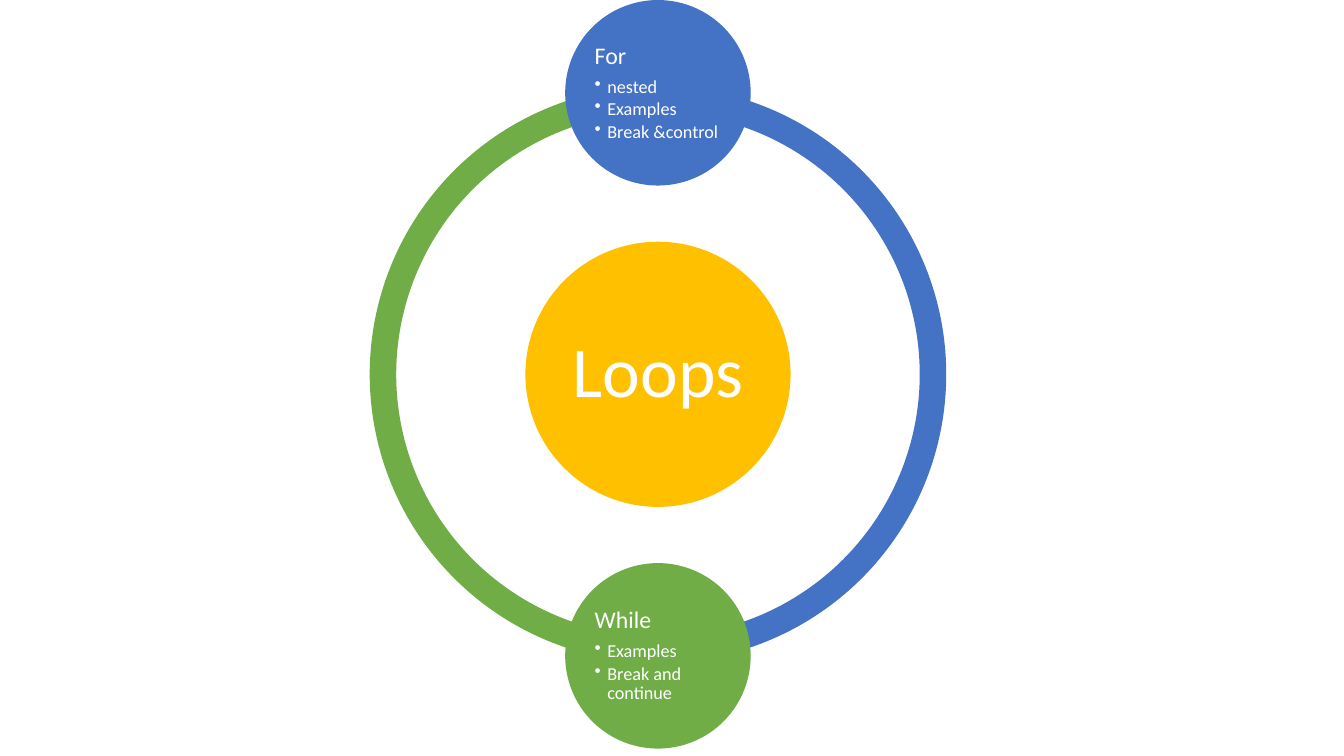
"""Build a slide of two linked loop kinds around a central title."""
import dataclasses
import typing

import lxml.etree
import pptx
import pptx.dml.color
import pptx.enum.shapes
import pptx.enum.text
import pptx.oxml.ns
import pptx.util

Pt = pptx.util.Pt
KINDS = pptx.enum.shapes.MSO_SHAPE
ALIGN = pptx.enum.text.PP_ALIGN
COLORS = {"blue": "4472C4", "green": "70AD47", "gold": "FFC000", "white": "FFFFFF"}
MID_X, MID_Y, REACH = 470, 267.4, 201.1
RING, CORE, NODE = 411.84, 189.4, 132.5
INDENT = 9

FORMATS = {
    "core": {"alignment": ALIGN.CENTER, "line_spacing": 0.9, "space_after": Pt(17.85)},
    "head": {"alignment": ALIGN.LEFT, "line_spacing": 0.9, "space_after": Pt(5.95)},
    "item": {"alignment": ALIGN.LEFT, "line_spacing": 0.9, "space_after": Pt(1.95), "level": 1},
}
FONTS = {
    "core": {"name": "Calibri", "size": Pt(51)},
    "head": {"name": "Calibri", "size": Pt(17)},
    "item": {"name": "Calibri", "size": Pt(13)},
}


@dataclasses.dataclass
class Arc:
    color: str
    start: float
    end: float


@dataclasses.dataclass
class Disc:
    color: str
    mid_y: float
    size: float
    inset: float
    role: str
    title: str
    items: tuple[str, ...] = ()


ARCS = [Arc("green", 54, 162), Arc("blue", 162, 54)]
DISCS = [
    Disc("gold", MID_Y, CORE, 5.1, "core", "Loops "),
    Disc("blue", MID_Y - REACH, NODE, 1.7, "head", "For",
         ("nested", "Examples", "Break &control")),
    Disc("green", MID_Y + REACH, NODE, 1.7, "head", "While",
         ("Examples", "Break and continue")),
]


def assign(target: typing.Any, values: dict[str, typing.Any]) -> None:
    for name, value in values.items():
        setattr(target, name, value)


def tint(hue: str) -> pptx.dml.color.RGBColor:
    return pptx.dml.color.RGBColor.from_string(COLORS[hue])


def add_round(shapes: typing.Any, kind: typing.Any, mid_y: float, size: float, hue: str) -> typing.Any:
    shape = shapes.add_shape(
        kind, Pt(MID_X - size / 2), Pt(mid_y - size / 2), Pt(size), Pt(size))
    shape.shadow.inherit = False
    shape.fill.solid()
    shape.fill.fore_color.rgb = tint(hue)
    shape.line.fill.background()
    return shape


def add_bullet(para: typing.Any) -> None:
    props = para._p.get_or_add_pPr()
    props.set("marL", str(Pt(INDENT)))
    props.set("indent", str(-Pt(INDENT)))
    mark = lxml.etree.SubElement(props, pptx.oxml.ns.qn("a:buChar"))
    mark.set("char", "•")


def write_line(para: typing.Any, text: str, role: str) -> None:
    assign(para, FORMATS[role])
    run = para.add_run()
    run.text = text
    assign(run.font, FONTS[role])
    run.font.color.rgb = tint("white")
    if role == "item":
        add_bullet(para)


def draw_arc(shapes: typing.Any, arc: Arc) -> None:
    shape = add_round(shapes, KINDS.BLOCK_ARC, MID_Y, RING, arc.color)
    for index, value in enumerate((arc.start, arc.end, 0.046)):
        shape.adjustments[index] = value


def draw_disc(shapes: typing.Any, disc: Disc) -> None:
    frame = add_round(shapes, KINDS.OVAL, disc.mid_y, disc.size, disc.color).text_frame
    assign(frame, {"word_wrap": True, "vertical_anchor": pptx.enum.text.MSO_ANCHOR.MIDDLE})
    sides = ("left", "top", "right", "bottom")
    assign(frame, {f"margin_{side}": Pt(disc.inset) for side in sides})
    write_line(frame.paragraphs[0], disc.title, disc.role)
    for item in disc.items:
        write_line(frame.add_paragraph(), item, "item")


def main() -> None:
    deck = pptx.Presentation()
    assign(deck, {"slide_width": Pt(960), "slide_height": Pt(540)})
    slide = deck.slides.add_slide(deck.slide_layouts[6])
    shapes = slide.shapes.add_group_shape().shapes
    for arc in ARCS:
        draw_arc(shapes, arc)
    for disc in DISCS:
        draw_disc(shapes, disc)
    deck.save("out.pptx")


if __name__ == "__main__":
    main()
